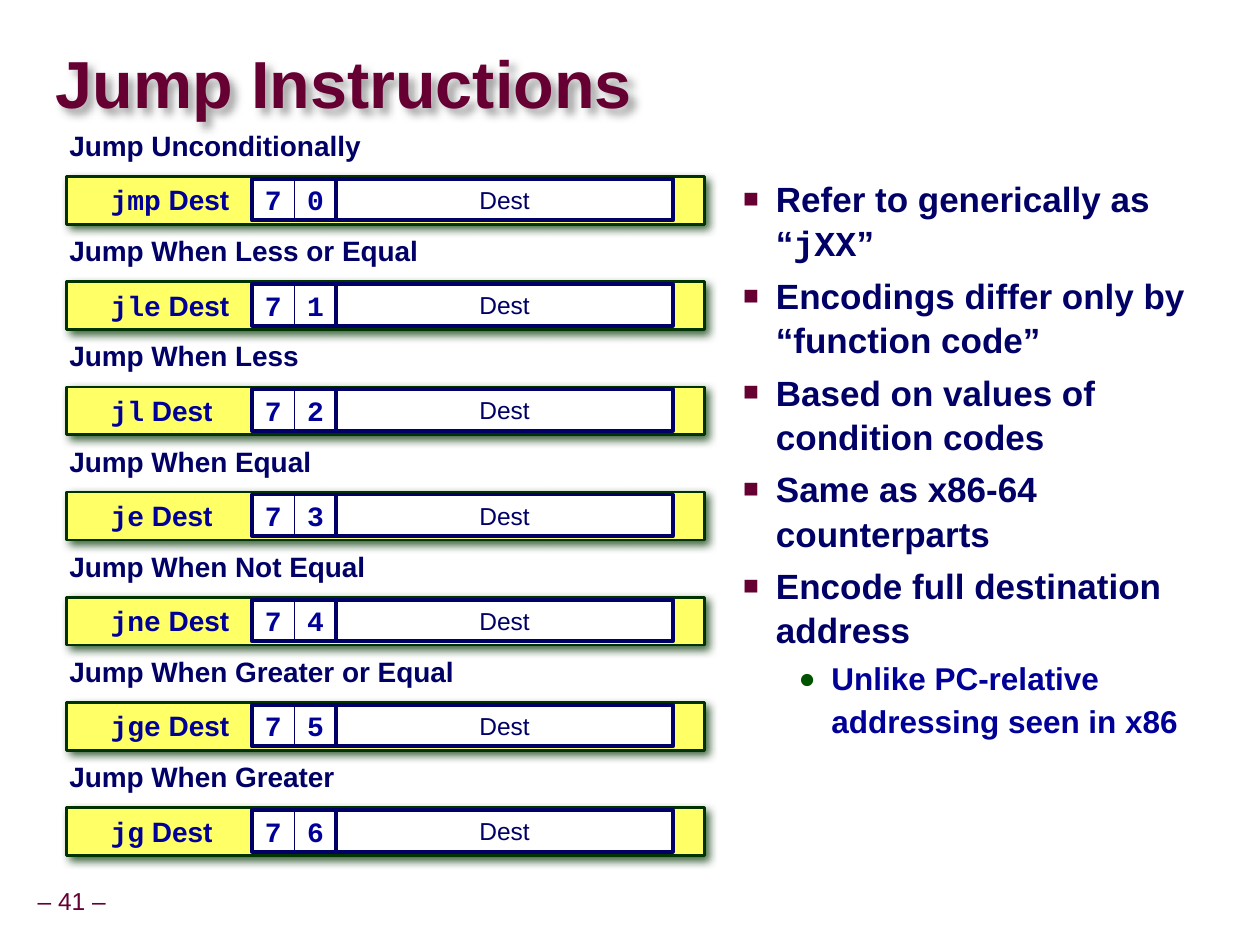
from lxml import etree
from pptx import Presentation
from pptx.dml.color import RGBColor
from pptx.enum.shapes import MSO_SHAPE
from pptx.enum.text import MSO_ANCHOR, PP_ALIGN
from pptx.oxml.ns import qn
from pptx.util import Inches, Pt

RECT = MSO_SHAPE.RECTANGLE
TOP, MIDDLE = MSO_ANCHOR.TOP, MSO_ANCHOR.MIDDLE
LEFT, CENTER = PP_ALIGN.LEFT, PP_ALIGN.CENTER
SANS, MONO = "Arial", "Courier New"
COLORS = {
    "maroon": "660033", "navy": "000066", "blue": "000099", "green": "005400",
    "dark_green": "003300", "yellow": "FFFF66", "white": "FFFFFF", "gray": "808080",
}
JUMPS = [
    ("Jump Unconditionally", "jmp"),
    ("Jump When Less or Equal", "jle"),
    ("Jump When Less", "jl"),
    ("Jump When Equal", "je"),
    ("Jump When Not Equal", "jne"),
    ("Jump When Greater or Equal", "jge"),
    ("Jump When Greater", "jg"),
]
NOTES = [
    (1, [("Refer to generically as “", SANS), ("jXX", MONO), ("”", SANS)]),
    (1, [("Encodings differ only by “function code”", SANS)]),
    (1, [("Based on values of condition codes", SANS)]),
    (1, [("Same as x86-64 counterparts", SANS)]),
    (1, [("Encode full destination address", SANS)]),
    (2, [("Unlike PC-relative addressing seen in x86", SANS)]),
]
LEVELS = {
    1: dict(size=20, color="navy", spacing=1.05, before=5, margin=0.8,
            bullet="■", bullet_color="maroon", bullet_size=75),
    2: dict(size=18, color="blue", spacing=1.13, before=2, margin=1.24,
            bullet="●", bullet_color="green", bullet_size=90),
}


def rgb(name):
    """Return the named colour."""
    return RGBColor.from_string(COLORS[name])


def add_runs(p, runs, size=16, color="navy", bold=True, align=LEFT, spacing=None):
    """Fill a paragraph with (text, font) runs that share one format."""
    p.alignment = align
    if spacing:
        p.line_spacing = spacing
    for text, font in runs:
        r = p.add_run()
        r.text = text
        r.font.name, r.font.size, r.font.bold = font, Pt(size), bold
        r.font.color.rgb = rgb(color)


def set_frame(sp, anchor=MIDDLE, inset_x=0.1, inset_y=0.05, wrap=False):
    """Set the anchor, insets and wrapping of a shape and return its text frame."""
    tf = sp.text_frame
    tf.word_wrap, tf.vertical_anchor = wrap, anchor
    tf.margin_left = tf.margin_right = Inches(inset_x)
    tf.margin_top = tf.margin_bottom = Inches(inset_y)
    return tf


def add_text(shapes, box, runs, anchor=MIDDLE, inset_x=0.1, inset_y=0.05, wrap=False, **fmt):
    """Add a text box with one paragraph."""
    sp = shapes.add_textbox(*map(Inches, box))
    tf = set_frame(sp, anchor, inset_x, inset_y, wrap)
    add_runs(tf.paragraphs[0], runs, **fmt)
    return sp


def add_rect(shapes, box, fill, line, width, runs=(), **fmt):
    """Add an outlined rectangle with optional centred text."""
    sp = shapes.add_shape(RECT, *map(Inches, box))
    sp.shadow.inherit = False
    if fill:
        sp.fill.solid()
        sp.fill.fore_color.rgb = rgb(fill)
    else:
        sp.fill.background()
    sp.line.color.rgb = rgb(line)
    sp.line.width = Pt(width)
    if runs:
        add_runs(set_frame(sp).paragraphs[0], runs, align=CENTER, **fmt)
    return sp


def add_shadow(sp, color, alpha=75, blur=5, dist=3, angle=45):
    """Give a shape a soft outer shadow."""
    sp.shadow.inherit = False
    effects = sp._element.spPr.find(qn("a:effectLst"))
    shadow = etree.SubElement(effects, qn("a:outerShdw"), blurRad=str(Pt(blur)),
                              dist=str(Pt(dist)), dir=str(angle * 60000))
    clr = etree.SubElement(shadow, qn("a:srgbClr"), val=COLORS[color])
    etree.SubElement(clr, qn("a:alpha"), val=str(alpha * 1000))


def add_bullet(p, margin, char, color, size):
    """Give a paragraph a hanging bullet."""
    pPr = p._p.get_or_add_pPr()
    pPr.set("marL", str(Inches(margin)))
    pPr.set("indent", str(Inches(-0.26)))
    clr = etree.SubElement(pPr, qn("a:buClr"))
    etree.SubElement(clr, qn("a:srgbClr"), val=COLORS[color])
    etree.SubElement(pPr, qn("a:buSzPct"), val=str(size * 1000))
    etree.SubElement(pPr, qn("a:buFont"), typeface=SANS)
    etree.SubElement(pPr, qn("a:buChar"), char=char)


def add_title(s, box):
    """Place the slide title."""
    sp = add_text(s.shapes, box, [("Jump Instructions", SANS)], inset_x=0, inset_y=0,
                  wrap=True, size=38, color="maroon", spacing=0.87)
    add_shadow(sp, "gray", dist=4)


def add_jump(s, x, y, code, label, name):
    """Place one labelled instruction encoding at a point."""
    shapes = s.shapes.add_group_shape().shapes
    cell_y, cell_h = y + 0.42, 0.33
    bar = add_rect(shapes, (x + 0.03, y + 0.4, 5.06, 0.38), "yellow", "dark_green", 1.5)
    add_shadow(bar, "dark_green")
    add_text(shapes, (x + 0.28, cell_y, 1.22, cell_h), [(name, MONO), (" Dest", SANS)],
             color="blue")
    for dx, w, digit in ((1.5, 0.34, "7"), (1.84, 0.33, str(code))):
        add_rect(shapes, (x + dx, cell_y, w, cell_h), "white", "navy", 0.5,
                 [(digit, MONO)], color="blue")
    add_rect(shapes, (x + 1.5, cell_y, 0.67, cell_h), None, "navy", 2.25)
    add_text(shapes, (x, y, 3.2, 0.35), [(label, SANS)], anchor=TOP, inset_x=0.05,
             wrap=True, spacing=0.9)
    add_rect(shapes, (x + 2.17, cell_y, 2.67, cell_h), "white", "navy", 2.25,
             [("Dest", SANS)], size=14, bold=False)


def add_jumps(s, x, y, pitch):
    """Stack all instruction encodings at an equal pitch."""
    for i, (label, name) in enumerate(JUMPS):
        add_jump(s, x, y + i * pitch, i, label, name)


def add_notes(s, box):
    """Place the bulleted notes."""
    sp = s.shapes.add_textbox(*map(Inches, box))
    tf = set_frame(sp, TOP, wrap=True)
    for i, (level, runs) in enumerate(NOTES):
        p = tf.add_paragraph() if i else tf.paragraphs[0]
        lv = LEVELS[level]
        add_bullet(p, lv["margin"], lv["bullet"], lv["bullet_color"], lv["bullet_size"])
        p.level = level - 1
        if i:
            p.space_before = Pt(lv["before"])
        add_runs(p, runs, size=lv["size"], color=lv["color"], spacing=lv["spacing"])


def add_page_number(s, box):
    """Place the page number."""
    add_text(s.shapes, box, [("– 41 –", SANS)], inset_x=0.05, size=14, color="maroon",
             bold=False, align=CENTER, spacing=0.9)


def main():
    """Build and save the slide."""
    prs = Presentation()
    prs.slide_width, prs.slide_height = Inches(10), Inches(7.5)
    s = prs.slides.add_slide(prs.slide_layouts[6])
    add_page_number(s, (0.23, 7, 0.68, 0.32))
    add_title(s, (0.44, 0.27, 9.53, 0.85))
    add_notes(s, (5.26, 1.34, 4.74, 5.71))
    add_jumps(s, 0.5, 1, 0.835)
    prs.save("out.pptx")


if __name__ == "__main__":
    main()
